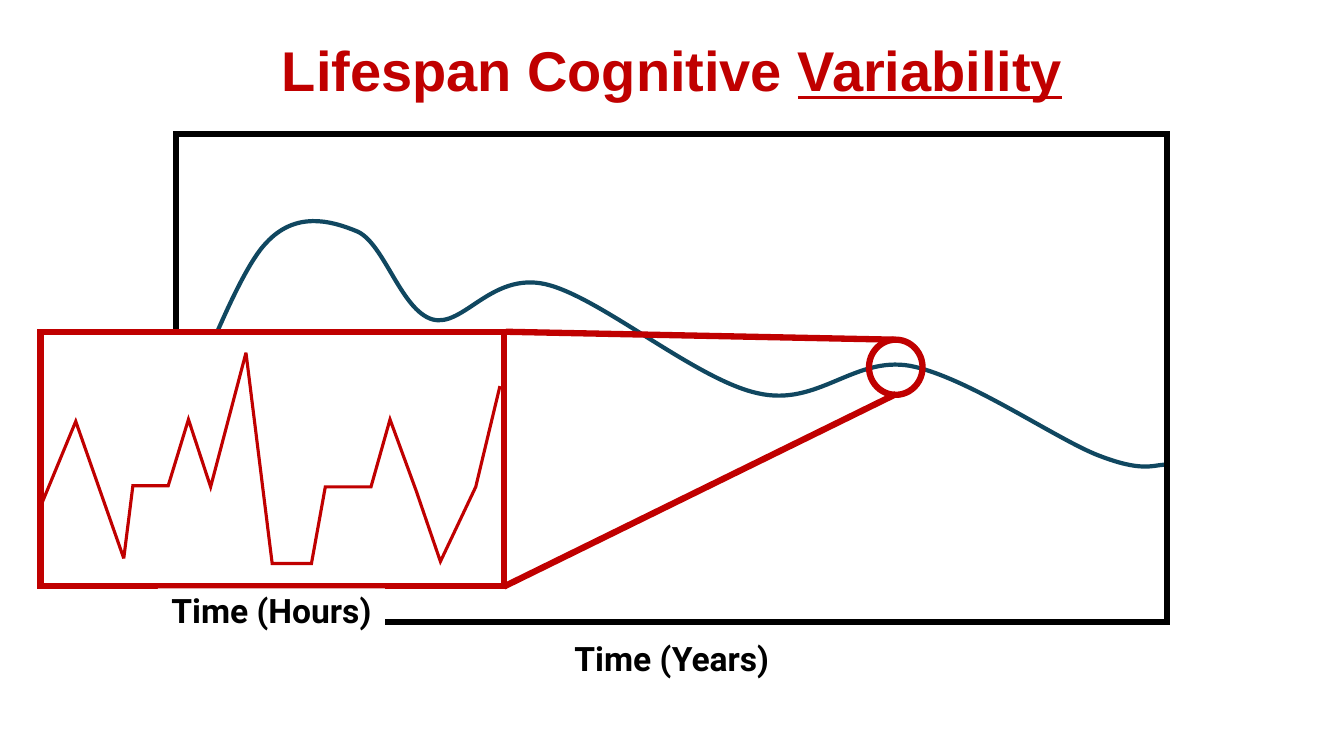
from lxml.etree import SubElement
from pptx import Presentation
from pptx.dml.color import RGBColor
from pptx.enum.shapes import MSO_CONNECTOR, MSO_SHAPE
from pptx.enum.text import MSO_ANCHOR, MSO_AUTO_SIZE, PP_ALIGN
from pptx.oxml.ns import qn
from pptx.util import Cm, Pt

RED = RGBColor(0xC0, 0x00, 0x00)
TEAL = RGBColor(0x10, 0x47, 0x60)
BLACK = RGBColor(0x00, 0x00, 0x00)
WHITE = RGBColor(0xFF, 0xFF, 0xFF)

# Lifespan curve in cm: a start point, then two controls and an end per segment
LIFESPAN_AREA = (4.42, 5.56, 24.92, 6.2)
LIFESPAN_START = (4.83, 9.8)
LIFESPAN_SEGMENTS = [
    ((4.9, 9.83), (4.19, 11.23), (4.52, 10.62)),
    ((4.83, 10.01), (5.94, 6.91), (6.71, 6.12)),
    ((7.44, 5.33), (8.31, 5.54), (9.02, 5.84)),
    ((9.7, 6.17), (10.11, 7.82), (10.9, 8.05)),
    ((11.68, 8.26), (12.37, 6.86), (13.74, 7.16)),
    ((15.11, 7.47), (17.55, 9.58), (19.1, 9.91)),
    ((20.62, 10.26), (21.51, 8.97), (22.94, 9.22)),
    ((24.38, 9.5), (26.62, 11.07), (27.69, 11.48)),
    ((28.75, 11.89), (29.03, 11.73), (29.34, 11.71)),
]
HOURLY_POINTS = [
    (1.07, 12.65), (1.91, 10.62), (3.12, 14.07), (3.35, 12.24), (4.24, 12.24),
    (4.75, 10.57), (5.31, 12.27), (6.2, 8.89), (6.86, 14.2), (7.85, 14.2),
    (8.2, 12.27), (9.35, 12.27), (9.83, 10.57), (10.49, 12.37), (11.1, 14.15),
    (11.99, 12.27), (12.6, 9.73),
]


class SlideBuilder:
    frame_width = Pt(4.5)
    label_font = "Roboto"
    label_size = Pt(24)
    title_font = "Arial"
    title_size = Pt(40)

    def __init__(self, slide):
        self.shapes = slide.shapes

    def outline(self, shape, color, width):
        shape.line.color.rgb = color
        shape.line.width = width
        SubElement(shape.line._get_or_add_ln(), qn("a:miter"), lim="800000")

    def fill(self, shape, color):
        shape.shadow.inherit = False
        if color is None:
            shape.fill.background()
        else:
            shape.fill.solid()
            shape.fill.fore_color.rgb = color

    def outlined_shape(self, kind, area, color, fill=None):
        shape = self.shapes.add_shape(kind, *map(Cm, area))
        self.fill(shape, fill)
        self.outline(shape, color, self.frame_width)

    def polyline(self, points, color, width):
        points = [(Cm(x), Cm(y)) for x, y in points]
        builder = self.shapes.build_freeform(*points[0])
        builder.add_line_segments(points[1:], close=False)
        shape = builder.convert_to_shape()
        self.fill(shape, None)
        self.outline(shape, color, width)
        return shape

    def smooth_curve(self, area, start, segments, color, width):
        ends = [segment[-1] for segment in segments]
        shape = self.polyline([start] + ends, color, width)
        shape.left, shape.top, shape.width, shape.height = map(Cm, area)

        # Swap the straight steps for cubic ones, measured from the box corner
        outline = next(shape._element.iter(qn("a:path")))
        for step in list(outline):
            outline.remove(step)
        outline.set("w", str(shape.width))
        outline.set("h", str(shape.height))
        steps = [("a:moveTo", [start])]
        steps += [("a:cubicBezTo", segment) for segment in segments]
        for tag, points in steps:
            step = SubElement(outline, qn(tag))
            for x, y in points:
                SubElement(step, qn("a:pt"), x=str(Cm(x) - shape.left),
                           y=str(Cm(y) - shape.top))

    def connector(self, start, end, color):
        line = self.shapes.add_connector(MSO_CONNECTOR.STRAIGHT, *map(Cm, start + end))
        SubElement(line._element.spPr, qn("a:effectLst"))
        line.line.color.rgb = color
        line.line.width = self.frame_width

    def style_text(self, frame, font, size, color):
        frame.word_wrap = True
        frame.vertical_anchor = MSO_ANCHOR.MIDDLE
        para = frame.paragraphs[0]
        para.alignment = PP_ALIGN.CENTER
        for span in para.runs:
            span.font.name = font
            span.font.size = size
            span.font.bold = True
            span.font.color.rgb = color

    def label(self, text, area, fill=None):
        if fill is None:
            box = self.shapes.add_textbox(*map(Cm, area))
        else:
            box = self.shapes.add_shape(MSO_SHAPE.RECTANGLE, *map(Cm, area))
            self.fill(box, fill)
            box.line.fill.background()
        box.text_frame.text = text
        self.style_text(box.text_frame, self.label_font, self.label_size, BLACK)

    def title(self, plain, underlined, area):
        title = self.shapes.title
        title.left, title.top, title.width, title.height = map(Cm, area)
        frame = title.text_frame
        frame.auto_size = MSO_AUTO_SIZE.NONE
        frame.text = plain
        para = frame.paragraphs[0]
        para.add_run().text = underlined
        self.style_text(frame, self.title_font, self.title_size, RED)
        para.runs[-1].font.underline = True
        self.shapes._spTree.append(title._element)  # bring to front


def main():
    deck = Presentation()
    deck.slide_width, deck.slide_height = Cm(33.87), Cm(19.05)
    page = SlideBuilder(deck.slides.add_slide(deck.slide_layouts[5]))

    # Lifespan chart
    page.smooth_curve(LIFESPAN_AREA, LIFESPAN_START, LIFESPAN_SEGMENTS, TEAL, Pt(3))
    page.outlined_shape(MSO_SHAPE.RECTANGLE, (4.43, 3.38, 24.99, 12.29), BLACK)
    page.label("Time (Years)", (14.07, 16.03, 5.72, 1.09))

    # Magnifier circle and its rays
    page.outlined_shape(MSO_SHAPE.OVAL, (21.9, 8.56, 1.35, 1.39), RED)
    page.connector((22.58, 8.56), (12.75, 8.36), RED)
    page.connector((22.58, 9.93), (12.7, 14.78), RED)

    # Hourly inset
    page.outlined_shape(MSO_SHAPE.RECTANGLE, (1.02, 8.36, 11.68, 6.4), RED, WHITE)
    page.polyline(HOURLY_POINTS, RED, Pt(2.25))
    page.label("Time (Hours)", (3.98, 14.83, 5.72, 1.09), WHITE)

    # Title
    page.title("Lifespan Cognitive ", "Variability", (5.81, 0.33, 22.25, 2.82))

    deck.save("out.pptx")


if __name__ == "__main__":
    main()
